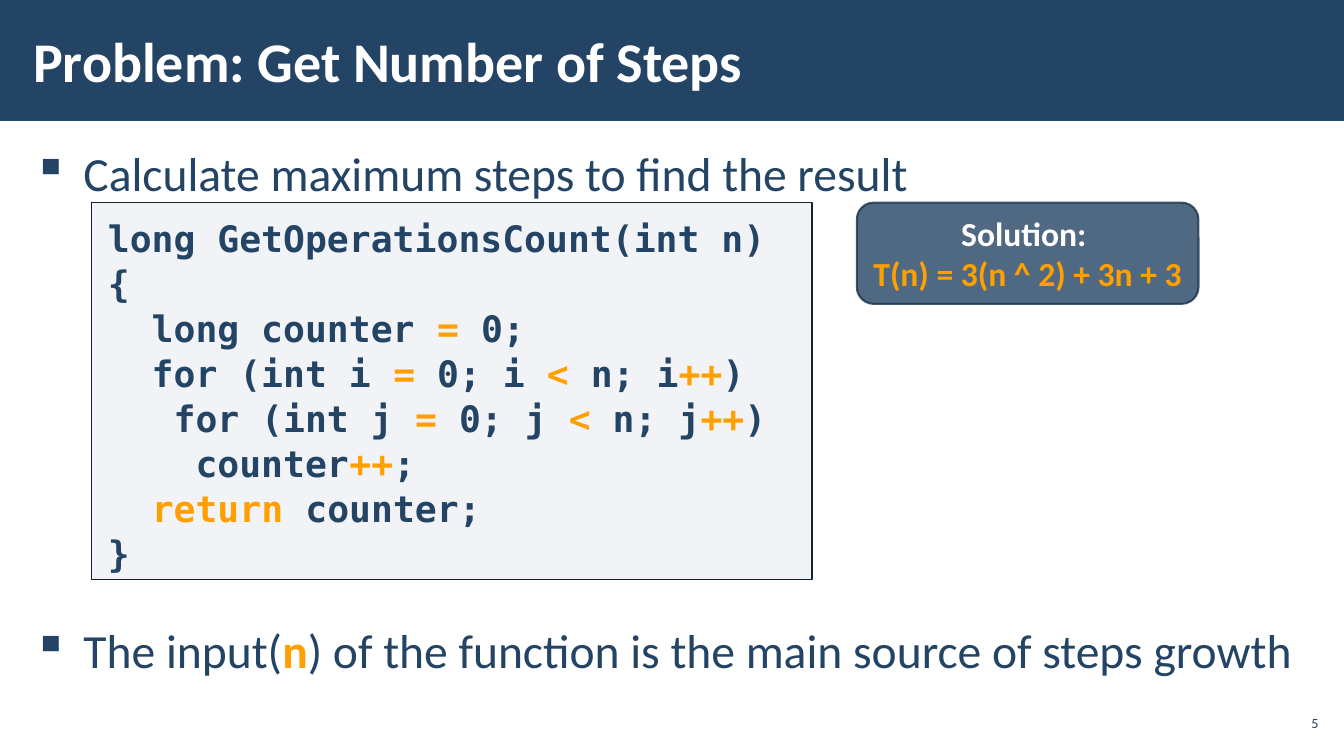
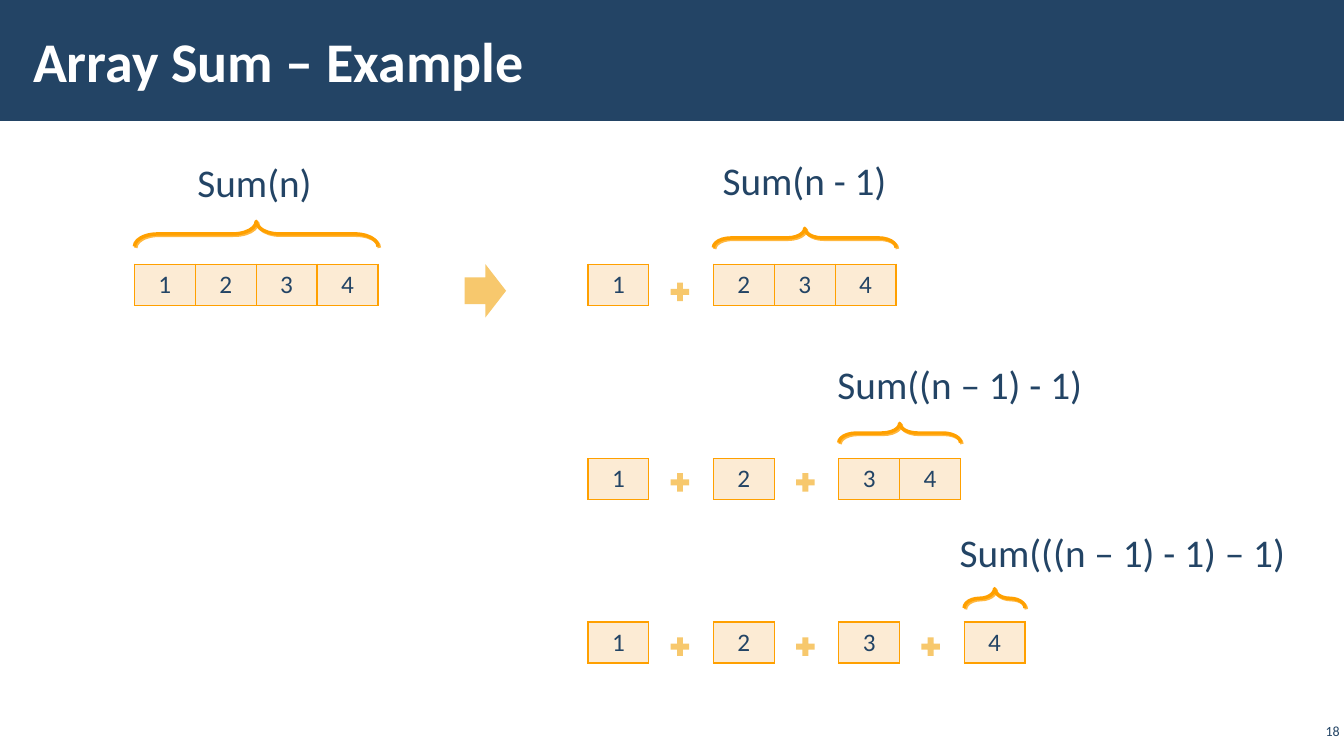
from dataclasses import dataclass

from lxml.etree import SubElement
from pptx import Presentation
from pptx.dml.color import RGBColor
from pptx.enum.shapes import MSO_SHAPE
from pptx.enum.text import MSO_ANCHOR, PP_ALIGN
from pptx.oxml.ns import qn
from pptx.util import Inches, Pt

SLIDE_WIDTH, SLIDE_HEIGHT = Inches(13.33), Inches(7.5)
GRID_COLUMNS, GRID_ROWS = 64, 36


@dataclass(frozen=True)
class Theme:
    navy: str = "234465"
    white: str = "FFFFFF"
    accent: str = "FFA000"
    accent_shadow: str = "FFB840"
    accent_soft: str = "F7C86D"
    cell_fill: str = "FCEBD4"
    code_fill: str = "ADB4C3"
    code_line: str = "112233"
    solution_line: str = "1A334C"
    text_font: str = "Calibri"
    code_font: str = "DejaVu Sans Mono"
    title_size: int = 40
    body_size: int = 34
    label_size: int = 28
    code_size: int = 26
    solution_size: int = 24
    cell_size: int = 18
    number_size: int = 10


THEME = Theme()


def columns(count):
    return round(SLIDE_WIDTH * count / GRID_COLUMNS)


def rows(count):
    return round(SLIDE_HEIGHT * count / GRID_ROWS)


def area(left, top, width, height):
    return columns(left), rows(top), columns(width), rows(height)


def rgb(color):
    return RGBColor.from_string(color)


def fade(parent, percent):
    """Make every colour below the element partly transparent."""
    for color in parent.iter(qn("a:srgbClr")):
        SubElement(color, qn("a:alpha"), val=str(percent * 1000))


class Deck:
    def __init__(self, theme):
        self.theme = theme
        self.presentation = Presentation()
        self.presentation.slide_width = SLIDE_WIDTH
        self.presentation.slide_height = SLIDE_HEIGHT
        self.slide = None

    def new_slide(self, title, number, number_left, number_top):
        theme = self.theme
        self.slide = self.presentation.slides.add_slide(self.presentation.slide_layouts[6])
        self.shape(MSO_SHAPE.RECTANGLE, (0, 0, GRID_COLUMNS, 5.76), theme.navy)
        self.text((1, 0.53, 50, 4.66), [title], theme.title_size, theme.white, bold=True,
                  anchor=MSO_ANCHOR.MIDDLE, insets=(0.12, 0.04))
        self.text((number_left, number_top, 2.25, 1.4), [number], theme.number_size,
                  align=PP_ALIGN.RIGHT, anchor=MSO_ANCHOR.MIDDLE, insets=(0.04, 0.04))

    def style(self, paragraph, size, color=None, bold=False, font=None):
        paragraph.font.name = font or self.theme.text_font
        paragraph.font.size = Pt(size)
        paragraph.font.bold = bold
        paragraph.font.color.rgb = rgb(color or self.theme.navy)

    def fill_text(self, frame, lines, size, color=None, bold=False, font=None,
                  align=PP_ALIGN.LEFT, anchor=MSO_ANCHOR.TOP, insets=(0.1, 0.05),
                  bullet=None, gap=0, spacing=None):
        """Fill a text frame; parts between backticks take the accent colour."""
        frame.word_wrap = True
        frame.vertical_anchor = anchor
        frame.margin_left = frame.margin_right = Inches(insets[0])
        frame.margin_top = frame.margin_bottom = Inches(insets[1])
        for index, line in enumerate(lines):
            paragraph = frame.add_paragraph() if index else frame.paragraphs[0]
            if bullet:
                properties = paragraph._p.get_or_add_pPr()
                properties.set("marL", str(Inches(0.5)))
                properties.set("indent", str(-Inches(0.5)))
                SubElement(properties, qn("a:buChar"), char=bullet)
            paragraph.alignment = align
            if spacing:
                paragraph.line_spacing = spacing
            if index and gap:
                paragraph.space_before = Pt(gap)
            self.style(paragraph, size, color, bold, font)
            for part, words in enumerate(line.split("`")):
                if words:
                    run = paragraph.add_run()
                    run.text = words
                    if part % 2:
                        run.font.bold = True
                        run.font.color.rgb = rgb(self.theme.accent)

    def text(self, place, lines, size, color=None, **options):
        box = self.slide.shapes.add_textbox(*area(*place))
        self.fill_text(box.text_frame, lines, size, color, **options)

    def shape(self, preset, place, fill, line=None, line_width=1):
        shape = self.slide.shapes.add_shape(preset, *area(*place))
        shape.shadow.inherit = False
        shape.fill.solid()
        shape.fill.fore_color.rgb = rgb(fill)
        if line:
            shape.line.color.rgb = rgb(line)
            shape.line.width = Pt(line_width)
        else:
            shape.line.fill.background()
        return shape

    def code(self, place, lines):
        theme = self.theme
        panel = self.shape(MSO_SHAPE.RECTANGLE, place, theme.code_fill, theme.code_line)
        fade(panel._element.spPr.find(qn("a:solidFill")), 15)
        self.fill_text(panel.text_frame, lines, theme.code_size, bold=True,
                       font=theme.code_font, insets=(0.16, 0.12), spacing=1.03)

    def solution(self, place, lines):
        theme = self.theme
        callout = self.shape(MSO_SHAPE.ROUNDED_RECTANGLE, place, theme.navy,
                             theme.solution_line, 1.5)
        fade(callout._element.spPr, 80)
        self.fill_text(callout.text_frame, lines, theme.solution_size, theme.white,
                       bold=True, align=PP_ALIGN.CENTER, anchor=MSO_ANCHOR.MIDDLE)

    def array(self, left, top, values, cell_width, cell_height):
        theme = self.theme
        place = area(left, top, cell_width * len(values), cell_height)
        table = self.slide.shapes.add_table(1, len(values), *place).table
        table.first_row = table.horz_banding = False
        for cell, value in zip(table.rows[0].cells, values):
            properties = cell._tc.get_or_add_tcPr()
            for side in ("a:lnL", "a:lnR", "a:lnT", "a:lnB"):
                border = SubElement(properties, qn(side), w=str(Pt(1)))
                SubElement(SubElement(border, qn("a:solidFill")), qn("a:srgbClr"),
                           val=theme.accent)
            cell.fill.solid()
            cell.fill.fore_color.rgb = rgb(theme.cell_fill)
            paragraph = cell.text_frame.paragraphs[0]
            paragraph.alignment = PP_ALIGN.CENTER
            self.style(paragraph, theme.cell_size)
            paragraph.add_run().text = str(value)

    def brace(self, left, top, width, height):
        """A brace over the given area, opening downwards."""
        x, y, across, depth = area(left, top, width, height)
        turn = (across - depth) // 2
        brace = self.slide.shapes.add_shape(MSO_SHAPE.LEFT_BRACE, x + turn, y - turn,
                                            depth, across)
        brace.rotation = 90
        brace.adjustments[0], brace.adjustments[1] = 0.919, 0.5
        brace.fill.background()
        brace.line.color.rgb = rgb(self.theme.accent)
        brace.line.width = Pt(2.5)
        brace.shadow.inherit = False
        effects = brace._element.spPr.find(qn("a:effectLst"))
        shadow = SubElement(effects, qn("a:outerShdw"), blurRad="0", dist=str(Pt(1.4)),
                            dir="2700000", rotWithShape="0")
        SubElement(shadow, qn("a:srgbClr"), val=self.theme.accent_shadow)


def steps_slide(deck):
    deck.new_slide("Problem: Get Number of Steps", "5", 60.72, 33.72)
    deck.text((1, 6.67, 62, 27),
              ["Calculate maximum steps to find the result",
               "The input(`n`) of the function is the main source of steps growth"],
              deck.theme.body_size, insets=(0.12, 0.04), bullet="▪", gap=300)
    deck.code((4.37, 9.65, 34.3, 17.95), [
        "long GetOperationsCount(int n)",
        "{",
        "  long counter `=` 0;",
        "  for (int i `=` 0; i `<` n; i`++`)",
        "   for (int j `=` 0; j `<` n; j`++`)",
        "    counter`++`;",
        "  `return` counter;",
        "}",
    ])
    deck.solution((40.8, 9.65, 16.27, 4.82), ["Solution: ", "`T(n) = 3(n ^ 2) + 3n + 3`"])


def array_sum_slide(deck):
    deck.new_slide("Array Sum – Example", "18", 61.74, 34.1)
    numbers = [1, 2, 3, 4]
    cell_width, cell_height = 2.9, 1.95
    first_row, split_left, pitch = 12.58, 28, 5.97

    def labelled_sum(label, label_left, label_top, left, top, values, brace_top, brace_height):
        deck.text((label_left, label_top, 17.3, 2.74), [label], deck.theme.label_size)
        deck.brace(left, brace_top, cell_width * len(values), brace_height)
        deck.array(left, top, values, cell_width, cell_height)

    # Whole array and the arrow to its expansion
    labelled_sum("Sum(n)", 8.93, 7.3, 6.4, first_row, numbers, 10.54, 1.2)
    deck.shape(MSO_SHAPE.RIGHT_ARROW, (22.13, first_row, 1.97, 2.54), deck.theme.accent_soft)

    # Each step splits one more number off the front
    steps = [
        ("Sum(n - 1)", 33.94, 7.2, first_row, 10.87, 13.3),
        ("Sum((n – 1) - 1)", 39.41, 16.94, 21.84, 20.16, 22.37),
        ("Sum(((n – 1) - 1) – 1)", 45.22, 24.91, 29.62, 28.03, 30.19),
    ]
    for split, (label, label_left, label_top, top, brace_top, plus_top) in enumerate(steps, 1):
        for index, number in enumerate(numbers[:split]):
            left = split_left + index * pitch
            deck.array(left, top, [number], cell_width, cell_height)
            deck.shape(MSO_SHAPE.MATH_PLUS, (left + 3.78, plus_top, 1.2, 1.2),
                       deck.theme.accent_soft)
        labelled_sum(label, label_left, label_top, split_left + split * pitch, top,
                     numbers[split:], brace_top, 0.92)


def main():
    deck = Deck(THEME)
    steps_slide(deck)
    array_sum_slide(deck)
    deck.presentation.save("out.pptx")


if __name__ == "__main__":
    main()
